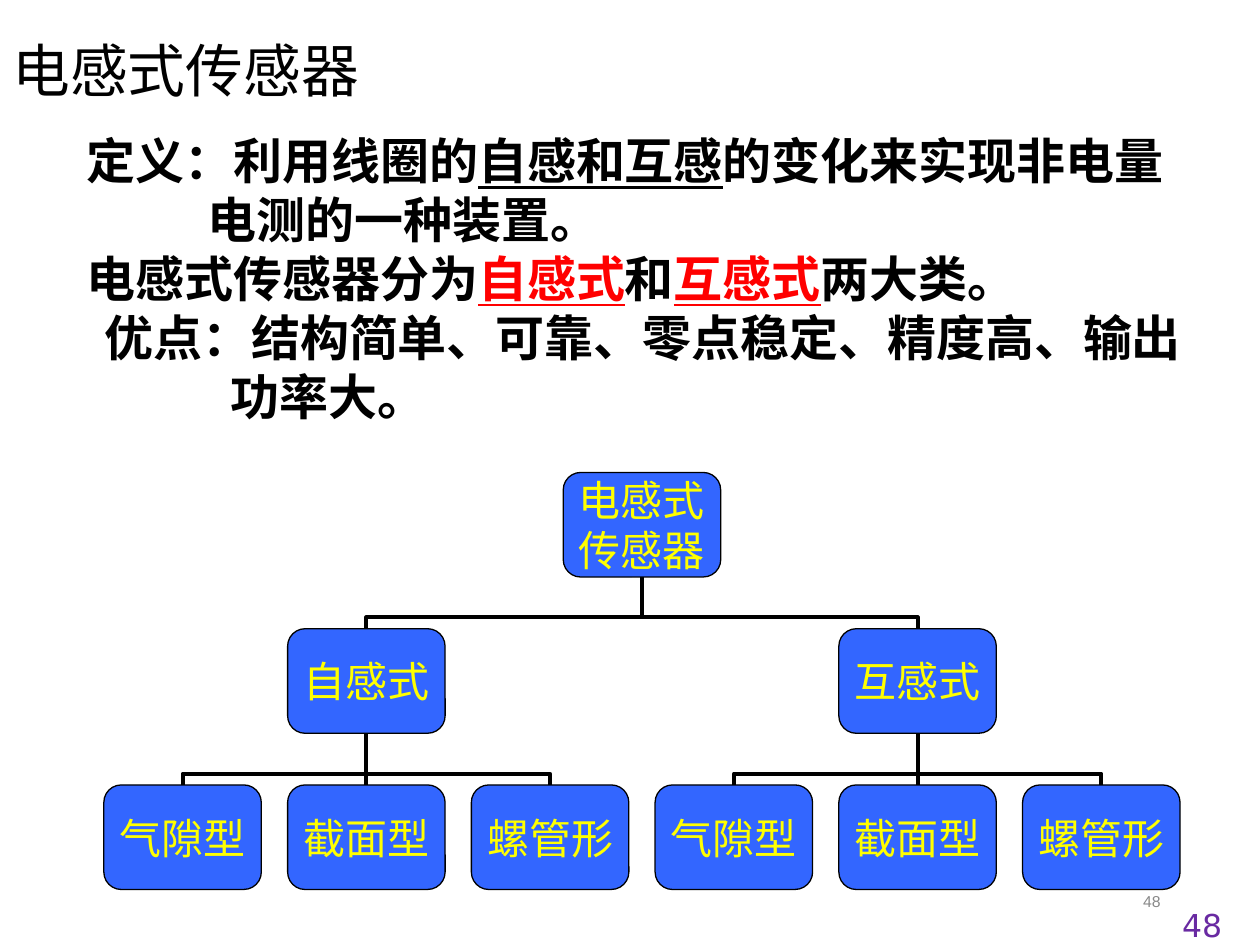
import pptx
import pptx.util
import pptx.dml.color
import pptx.enum.shapes
import pptx.enum.text
import pptx.oxml
import pptx.oxml.ns
import lxml.etree

IN = pptx.util.Inches
ALIGN = pptx.enum.text.PP_ALIGN
MIDDLE = pptx.enum.text.MSO_ANCHOR.MIDDLE
CJK = "Noto Sans CJK SC"
W, H = 10, 7.5

TREE = ("电感式\n传感器", [
    ("自感式", [("气隙型", []), ("截面型", []), ("螺管形", [])]),
    ("互感式", [("气隙型", []), ("截面型", []), ("螺管形", [])]),
])

BODY = [
    (0, ALIGN.LEFT, [("定义：利用线圈的", "000000", False), ("自感和互感", "000000", True),
                     ("的变化来实现非电量", "000000", False)]),
    (0.96, ALIGN.LEFT, [("电测的一种装置。", "000000", False)]),
    (0, ALIGN.LEFT, [("电感式传感器分为", "000000", False), ("自感式", "FF0000", True),
                     ("和", "000000", False), ("互感式", "FF0000", True),
                     ("两大类。", "000000", False)]),
    (0, ALIGN.CENTER, [("优点：结构简单、可靠、零点稳定、精度高、输出", "000000", False)]),
    (1.14, ALIGN.LEFT, [("功率大。", "000000", False)]),
]


def rgb(color):
    """Turn a hex string into a colour."""
    return pptx.dml.color.RGBColor.from_string(color)


def style_run(r, size, font, color):
    """Set size, Latin and East Asian fonts and colour of a run."""
    r.font.size = pptx.util.Pt(size)
    r.font.name = font
    r.font.color.rgb = rgb(color)
    ea = lxml.etree.SubElement(r.font._element, pptx.oxml.ns.qn("a:ea"))
    ea.set("typeface", CJK)


def add_label(s, box, text, size, font, color, align=ALIGN.LEFT, anchor=None, spacing=None):
    """Place a one-style text box."""
    tf = s.shapes.add_textbox(*map(IN, box)).text_frame
    tf.word_wrap = True
    tf.vertical_anchor = anchor
    p = tf.paragraphs[0]
    p.text = text
    p.alignment = align
    p.line_spacing = spacing
    style_run(p.runs[0], size, font, color)


def add_body(s, box, lines):
    """Place the bold definition text with its underlined terms."""
    tf = s.shapes.add_textbox(*map(IN, box)).text_frame
    tf.word_wrap = True
    for i, (indent, align, parts) in enumerate(lines):
        p = tf.paragraphs[0] if i == 0 else tf.add_paragraph()
        p.alignment = align
        if indent:
            p._p.get_or_add_pPr().set("marL", str(IN(indent)))
        for text, color, underline in parts:
            r = p.add_run()
            r.text = text
            style_run(r, 28, CJK, color)
            r.font.bold = True
            r.font.underline = underline


def add_node(s, box, text):
    """Draw one rounded box of the tree."""
    sp = s.shapes.add_shape(pptx.enum.shapes.MSO_SHAPE.ROUNDED_RECTANGLE, *map(IN, box))
    sp.shadow.inherit = False
    sp.adjustments[0] = 0.167
    sp.fill.solid()
    sp.fill.fore_color.rgb = rgb("3366FF")
    sp.line.color.rgb = rgb("000000")
    sp.line.width = pptx.util.Pt(0.75)
    tf = sp.text_frame
    tf.margin_left = tf.margin_right = tf.margin_top = tf.margin_bottom = 0
    tf.word_wrap = False
    tf.vertical_anchor = MIDDLE
    tf.text = text
    for p in tf.paragraphs:
        p.alignment = ALIGN.CENTER
        style_run(p.runs[0], 24, CJK, "FFFF00")


def add_branch(s, child_x, child_y, parent_x, parent_y):
    """Join a child's top to its parent's bottom with a turned elbow."""
    mx, my = (child_x + parent_x) / 2, (child_y + parent_y) / 2
    dx, dy = abs(child_x - parent_x) / 2, (child_y - parent_y) / 2
    side = 1 if child_x < parent_x else -1
    c = s.shapes.add_connector(pptx.enum.shapes.MSO_CONNECTOR.ELBOW, IN(mx + side * dy),
                               IN(my + dx), IN(mx - side * dy), IN(my - dx))
    c.line.color.rgb = rgb("000000")
    c.line.width = pptx.util.Pt(2.25)
    pr = c._element.spPr
    pr.find(pptx.oxml.ns.qn("a:xfrm")).set("rot", str((90 if side > 0 else 270) * 60000))
    guides = pr.find(".//" + pptx.oxml.ns.qn("a:avLst"))
    gd = lxml.etree.SubElement(guides, pptx.oxml.ns.qn("a:gd"))
    gd.set("name", "adj1")
    gd.set("fmla", "val 21800")
    lxml.etree.SubElement(pr, pptx.oxml.ns.qn("a:effectLst"))


def count_leaves(node):
    """Count the columns a subtree needs."""
    return sum(map(count_leaves, node[1])) or 1


def add_tree(s, box, node, rows=3):
    """Draw a subtree in a box and return the centre of its root."""
    x, y, w, h = box
    col, row = w / count_leaves(node), h / rows
    node_w, node_h = 1.25, 0.83
    cx, left = x + w / 2, x
    for child in node[1]:
        span = col * count_leaves(child)
        child_x = add_tree(s, (left, y + row, span, h - row), child, rows - 1)
        add_branch(s, child_x, y + row, cx, y + node_h)
        left += span
    add_node(s, (cx - node_w / 2, y, node_w, node_h), node[0])
    return cx


def main():
    """Build and save the slide."""
    prs = pptx.Presentation()
    prs.slide_width, prs.slide_height = IN(W), IN(H)
    s = prs.slides.add_slide(prs.slide_layouts[6])
    add_label(s, (0.706 * W, 0.927 * H, 0.225 * W, 0.053 * H), "48", 9, "Arial", "898989",
              ALIGN.RIGHT, MIDDLE)
    add_label(s, (0, 0.037 * H, 0.819 * W, 0.083 * H), "电感式传感器", 33, "Calibri", "000000",
              anchor=MIDDLE, spacing=0.9)
    add_label(s, (0.908 * W, 0.952 * H, 0.092 * W, 0.048 * H), "48", 18, "DejaVu Sans",
              "692AA2", ALIGN.CENTER)
    add_tree(s, (0.072 * W, 0.5 * H, 0.875 * W, 0.496 * H), TREE)
    add_body(s, (0.059 * W, 0.132 * H, 0.902 * W, 0.325 * H), BODY)
    prs.save("out.pptx")


if __name__ == "__main__":
    main()
